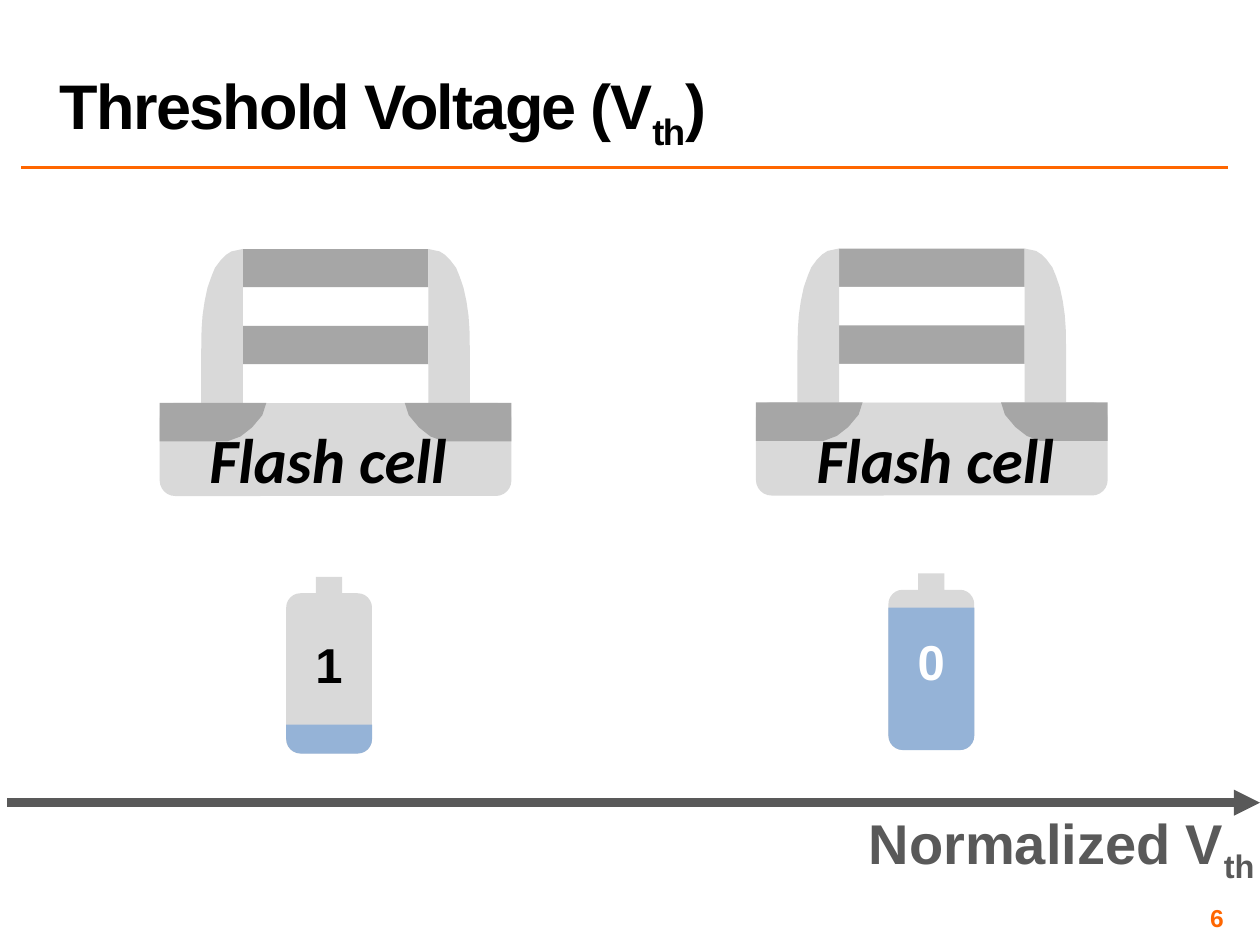
from math import cos, radians, sin

from lxml.etree import SubElement
from pptx import Presentation
from pptx.dml.color import RGBColor
from pptx.enum.shapes import MSO_CONNECTOR, MSO_SHAPE as SHAPE
from pptx.enum.text import MSO_ANCHOR as ANCHOR, PP_ALIGN as ALIGN
from pptx.oxml.ns import qn
from pptx.util import Cm, Pt

BLACK = RGBColor(0x00, 0x00, 0x00)
WHITE = RGBColor(0xFF, 0xFF, 0xFF)
ORANGE = RGBColor(0xFF, 0x66, 0x00)
DARK_GRAY = RGBColor(0x59, 0x59, 0x59)
MID_GRAY = RGBColor(0xA6, 0xA6, 0xA6)
LIGHT_GRAY = RGBColor(0xD9, 0xD9, 0xD9)
BLUE = RGBColor(0x95, 0xB3, 0xD7)

# Centimetres: x runs outward from the gate edge, y down from the gate top.
SPACER = [(0, 0), (0.23, 0.05), (0.34, 0.12), (0.44, 0.22), (0.56, 0.38),
          (0.63, 0.55), (0.71, 0.78), (0.77, 1.06), (0.81, 1.34),
          (0.83, 1.62), (0.84, 2.2), (0.84, 3.1), (0, 3.1)]
# Centimetres: x runs inward from the outer edge, y down from the substrate top.
JUNCTION = [(0, 0), (2.15, 0), (2.07, 0.25), (1.86, 0.5), (1.63, 0.68),
            (1.36, 0.78), (0, 0.78)]


def paint(shape, color):
    shape.shadow.inherit = False
    shape.fill.solid()
    shape.fill.fore_color.rgb = color
    shape.line.fill.background()


def add_block(slide, kind, left, top, width, height, color):
    shape = slide.shapes.add_shape(kind, Cm(left), Cm(top), Cm(width), Cm(height))
    paint(shape, color)
    return shape


def add_outline(slide, points, color):
    corners = [(Cm(x), Cm(y)) for x, y in points]
    builder = slide.shapes.build_freeform(*corners[0])
    builder.add_line_segments(corners[1:], close=True)
    paint(builder.convert_to_shape(), color)


def add_text(slide, box, pieces, size, color, align=ALIGN.CENTER,
             anchor=ANCHOR.TOP, font_name="Arial", italic=False, spacing=None):
    """Place one paragraph; every second piece is a subscript."""
    text_frame = slide.shapes.add_textbox(*map(Cm, box)).text_frame
    text_frame.word_wrap = True
    text_frame.vertical_anchor = anchor
    paragraph = text_frame.paragraphs[0]
    paragraph.alignment = align
    for index, piece in enumerate(pieces):
        run = paragraph.add_run()
        run.text = piece
        font = run.font
        font.name, font.size, font.bold, font.italic = font_name, Pt(size), True, italic
        font.color.rgb = color
        properties = run._r.get_or_add_rPr()
        if index % 2:
            properties.set("baseline", "-25000")
        if spacing is not None:
            properties.set("spc", str(spacing))
    return text_frame


def add_line(slide, left, right, y, color, width, arrow=False):
    line = slide.shapes.add_connector(
        MSO_CONNECTOR.STRAIGHT, Cm(left), Cm(y), Cm(right), Cm(y))
    line.line.color.rgb = color
    line.line.width = Pt(width)
    if arrow:
        SubElement(line.line._get_or_add_ln(), qn("a:tailEnd"), type="triangle")
    SubElement(line._element.spPr, qn("a:effectLst"))


def add_header(slide, left, top, width):
    add_line(slide, left, left + width, top + 3.33, ORANGE, 2)
    title = add_text(slide, (left + 0.53, top, 22.23, 2.97),
                     ["Threshold Voltage (V", "th", ")"], 36, BLACK,
                     ALIGN.LEFT, ANCHOR.BOTTOM, spacing=-100)
    title.paragraphs[0].line_spacing = 0.8


def add_flash_cell(slide, left, top, label_left):
    width, gate_width, layer = 7.09, 3.74, 0.775
    gate_left = left + (width - gate_width) / 2
    base = top + 4 * layer
    add_block(slide, SHAPE.ROUNDED_RECTANGLE, left, base, width, 1.88, LIGHT_GRAY)
    for index, color in enumerate((MID_GRAY, WHITE) * 2):
        add_block(slide, SHAPE.RECTANGLE, gate_left, top + index * layer,
                  gate_width, layer, color)
    for side, outer, gate_edge in ((1, left, gate_left),
                                   (-1, left + width, gate_left + gate_width)):
        add_outline(slide, [(gate_edge - side * x, top + y) for x, y in SPACER],
                    LIGHT_GRAY)
        add_outline(slide, [(outer + side * x, base + y) for x, y in JUNCTION],
                    MID_GRAY)
    add_text(slide, (label_left, top + 3.34, 7.95, 1.8), ["Flash cell"], 36,
             BLACK, font_name="Calibri", italic=True)


def add_battery(slide, left, top, charge, bit, bit_color):
    width, height, radius = 1.73, 3.56, 0.29
    neck_left, neck_right, neck_height = 0.6, 1.13, 0.33
    outline = [(neck_left, neck_height), (neck_left, 0),
               (neck_right, 0), (neck_right, neck_height)]
    corners = ((width - radius, neck_height + radius, -90),
               (width - radius, height - radius, 0),
               (radius, height - radius, 90),
               (radius, neck_height + radius, 180))
    for center_x, center_y, start in corners:
        for angle in range(start, start + 91, 15):
            outline.append((center_x + radius * cos(radians(angle)),
                            center_y + radius * sin(radians(angle))))
    add_outline(slide, [(left + x, top + y) for x, y in outline], LIGHT_GRAY)
    level = add_block(slide, SHAPE.ROUND_2_SAME_RECTANGLE, left,
                      top + height - charge, width, charge, BLUE)
    level.rotation = 180
    level.adjustments[0] = radius / min(width, charge)
    level.adjustments[1] = 0
    add_text(slide, (left, top + 1.04, width, 1.45), [bit], 28, bit_color)


def add_voltage_axis(slide, left, top, width):
    add_line(slide, left, left + width, top, DARK_GRAY, 5, arrow=True)
    add_text(slide, (left + 17.02, top, 8.46, 1.63), ["Normalized V", "th"],
             32, DARK_GRAY)


def add_page_number(slide, left, top):
    text_frame = add_text(slide, (left, top, 5.92, 0.58), ["6"], 14, ORANGE,
                          ALIGN.RIGHT, ANCHOR.MIDDLE)
    text_frame.margin_left = text_frame.margin_right = Cm(0.1)
    text_frame.margin_top = text_frame.margin_bottom = Cm(0.1)


def main():
    presentation = Presentation()
    presentation.slide_width, presentation.slide_height = Cm(25.4), Cm(19.05)
    slide = presentation.slides.add_slide(presentation.slide_layouts[6])
    add_header(slide, 0.43, 0.05, 24.33)
    add_voltage_axis(slide, 0.15, 16.18, 25.25)
    add_battery(slide, 17.91, 11.56, 2.87, "0", WHITE)
    add_battery(slide, 5.77, 11.63, 0.58, "1", BLACK)
    add_flash_cell(slide, 3.22, 5.02, 2.64)
    add_flash_cell(slide, 15.24, 5.01, 14.88)
    add_page_number(slide, 18.85, 18.21)
    presentation.save("out.pptx")


if __name__ == "__main__":
    main()
